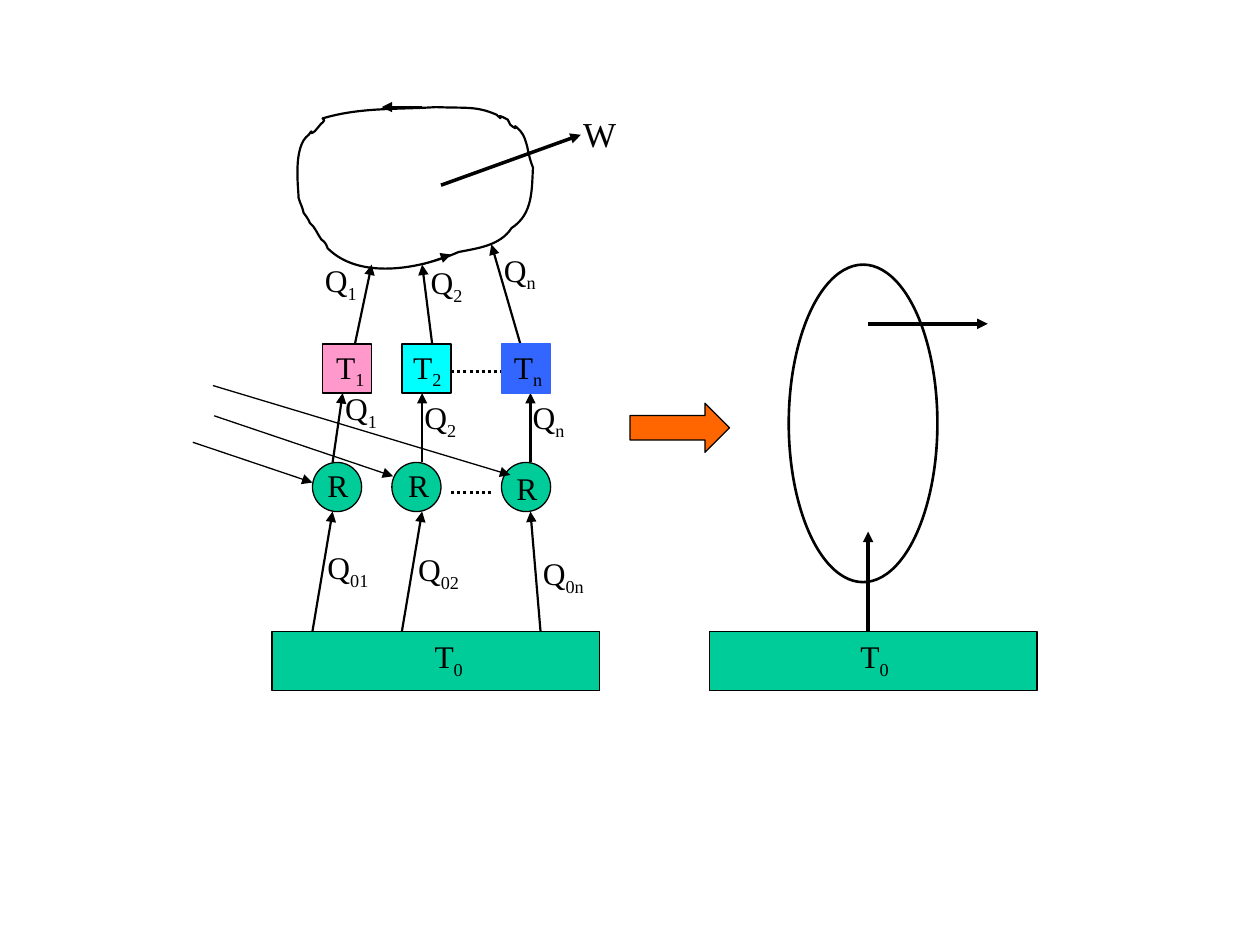
from dataclasses import dataclass
from typing import Optional

from lxml import etree
from pptx import Presentation
from pptx import util as u
from pptx.dml.color import RGBColor
from pptx.enum import dml, shapes, text
from pptx.oxml.ns import qn


@dataclass(frozen=True)
class Theme:
    font: str = "Times New Roman"
    ink: str = "000000"
    green: str = "00CC99"
    pink: str = "FF99CC"
    cyan: str = "00FFFF"
    blue: str = "3366FF"
    orange: str = "FF6600"
    label: float = 18
    work: float = 20
    thin: float = 0.75
    medium: float = 1.25
    outline: float = 1.5
    dots: float = 1.75
    heavy: float = 2


THEME = Theme()
KIND = shapes.MSO_SHAPE


@dataclass(frozen=True)
class Block:
    kind: int
    left: float
    top: float
    width: float
    height: float
    fill: Optional[str] = None
    line: str = THEME.ink
    weight: float = THEME.thin


@dataclass(frozen=True)
class Line:
    x1: float
    y1: float
    x2: float
    y2: float
    weight: float = THEME.medium
    dotted: bool = False


@dataclass(frozen=True)
class Label:
    main: str
    sub: str
    left: float
    top: float
    width: float
    height: float = 0.4
    size: float = THEME.label


def apply(target, formats: dict) -> None:
    for name, value in formats.items():
        setattr(target, name, value)


def style(shape, fill: Optional[str], line: str, weight: float) -> None:
    shape.shadow.inherit = False
    if fill:
        shape.fill.solid()
        shape.fill.fore_color.rgb = RGBColor.from_string(fill)
    else:
        shape.fill.background()
    shape.line.color.rgb = RGBColor.from_string(line)
    shape.line.width = u.Pt(weight)


def draw_block(page, block: Block) -> None:
    shape = page.shapes.add_shape(block.kind, *map(
        u.Inches, (block.left, block.top, block.width, block.height)))
    style(shape, block.fill, block.line, block.weight)


def draw_line(page, line: Line) -> None:
    connector = page.shapes.add_connector(shapes.MSO_CONNECTOR.STRAIGHT, *map(
        u.Inches, (line.x1, line.y1, line.x2, line.y2)))
    connector.line.color.rgb = RGBColor.from_string(THEME.ink)
    connector.line.width = u.Pt(line.weight)
    if line.dotted:
        connector.line.dash_style = dml.MSO_LINE.ROUND_DOT
    else:
        etree.SubElement(connector.line._get_or_add_ln(), qn("a:tailEnd"), type="triangle")
    etree.SubElement(connector._element.spPr, qn("a:effectLst"))


def draw_label(page, label: Label) -> None:
    box = page.shapes.add_textbox(*map(
        u.Inches, (label.left, label.top, label.width, label.height)))
    apply(box.text_frame, {"word_wrap": True,
                           "auto_size": text.MSO_AUTO_SIZE.SHAPE_TO_FIT_TEXT})
    para = box.text_frame.paragraphs[0]
    for content, baseline in ((label.main, None), (label.sub, "-25000")):
        if not content:
            continue
        span = para.add_run()
        span.text = content
        apply(span.font, {"name": THEME.font, "size": u.Pt(label.size)})
        span.font.color.rgb = RGBColor.from_string(THEME.ink)
        if baseline:
            span.font._element.set("baseline", baseline)


def draw_curve(page, start: tuple, curves: list) -> None:
    """Draw a closed chain of cubic curves, each given by three points."""
    points = [tuple(map(u.Inches, curve[i:i + 2])) for curve in curves for i in (0, 2, 4)]
    builder = page.shapes.build_freeform(*map(u.Inches, start))
    builder.add_line_segments(points, close=True)
    shape = builder.convert_to_shape()
    # Join every three straight segments into one cubic curve
    segments = list(shape._element.iter(qn("a:lnTo")))
    for first in range(0, len(curves) * 3, 3):
        cubic = etree.Element(qn("a:cubicBezTo"))
        segments[first].addprevious(cubic)
        for segment in segments[first:first + 3]:
            cubic.append(segment[0])
            segment.getparent().remove(segment)
    style(shape, None, THEME.ink, THEME.medium)


CYCLE_START = (2.56, 0.94)
CYCLE = [
    (2.86, 0.85, 3.15, 0.87, 3.46, 0.85), (3.7, 0.86, 3.78, 0.84, 3.94, 0.91),
    (4.03, 0.99, 3.89, 0.87, 4.03, 0.95), (4.04, 0.96, 4.04, 0.98, 4.05, 0.99),
    (4.15, 1.07, 4.03, 0.94, 4.13, 1.04), (4.16, 1.07, 4.18, 1.14, 4.19, 1.19),
    (4.2, 1.24, 4.21, 1.28, 4.23, 1.33), (4.22, 1.51, 4.23, 1.7, 4.06, 1.81),
    (3.97, 1.95, 3.79, 1.97, 3.64, 2), (3.32, 2.14, 2.85, 2.22, 2.6, 1.97),
    (2.59, 1.94, 2.58, 1.92, 2.55, 1.9), (2.52, 1.86, 2.5, 1.8, 2.46, 1.77),
    (2.45, 1.74, 2.41, 1.69, 2.41, 1.69), (2.4, 1.64, 2.38, 1.61, 2.37, 1.57),
    (2.37, 1.5, 2.32, 1.16, 2.45, 1.07), (2.5, 1, 2.44, 1.09, 2.5, 1.04),
    (2.52, 1.02, 2.53, 1, 2.55, 0.98), (2.55, 0.98, 2.57, 0.97, 2.57, 0.96),
    (2.58, 0.96, 2.57, 0.95, 2.56, 0.94),
]

# Rows shared by the columns of the heat chain
SOURCE_TOP, SOURCE_BASE = 2.73, 3.12
ENGINE_TOP, ENGINE_BASE = 3.67, 4.06
RESERVOIR_TOP, SIDE = 5.01, 0.39

HEAT_ARROWS = [
    Line(2.8, 2.81, 2.95, 2.1),
    Line(3.43, SOURCE_TOP, 3.35, 2.1),
    Line(4.13, SOURCE_TOP, 3.9, 1.94),
    *(Line(x1, ENGINE_TOP, x2, SOURCE_BASE)
      for x1, x2 in ((2.64, 2.72), (3.35, 3.35), (4.21, 4.21))),
    *(Line(x1, RESERVOIR_TOP, x2, ENGINE_BASE)
      for x1, x2 in ((2.48, 2.64), (3.19, 3.35), (4.29, 4.21))),
]
BLOCKS = [
    *(Block(KIND.RECTANGLE, left, SOURCE_TOP, SIDE, SIDE, fill, line)
      for left, fill, line in ((2.56, THEME.pink, THEME.ink), (3.19, THEME.cyan, THEME.ink),
                               (3.98, THEME.blue, THEME.blue))),
    *(Block(KIND.OVAL, left, ENGINE_TOP, SIDE, SIDE, THEME.green)
      for left in (2.48, 3.11, 3.98)),
    *(Block(KIND.RECTANGLE, left, RESERVOIR_TOP, 2.6, 0.47, THEME.green)
      for left in (2.16, 5.63)),
    Block(KIND.RIGHT_ARROW, 5, 3.2, 0.79, SIDE, THEME.orange),
    Block(KIND.OVAL, 6.26, 2.1, 1.18, 2.52, weight=THEME.outline),
]
TOP_LINES = [
    # Direction marks on the cycle
    Line(3.35, 2.1, 3.58, 2.02, THEME.thin), Line(3.35, 0.85, 3.03, 0.85, THEME.thin),
    # Dots between columns
    Line(3.58, 2.95, 3.98, 2.95, THEME.dots, True), Line(3.58, 3.91, 3.9, 3.91, THEME.dots, True),
    # Pointers to the engines
    Line(1.53, 3.51, 2.48, 3.83, THEME.thin), Line(1.7, 3.3, 3.12, 3.78, THEME.thin),
    Line(1.69, 3.06, 4.05, 3.77, THEME.thin),
    # Work output and the combined engine
    Line(6.89, RESERVOIR_TOP, 6.89, 4.22, THEME.heavy), Line(6.89, 2.57, 7.84, 2.57, THEME.heavy),
    Line(3.5, 1.47, 4.61, 1.07, THEME.heavy),
]
LABELS = [
    *(Label("Q", sub, left, top, width) for sub, left, top, width in (
        ("1", 2.64, 3.04, 0.63), ("1", 2.48, 2.02, 0.63),
        ("2", 3.27, 3.11, 1.1), ("2", 3.32, 2.04, 1.1),
        ("n", 4.13, 3.11, 0.87), ("n", 3.9, 1.94, 0.87),
        ("01", 2.5, 4.3, 0.79), ("02", 3.22, 4.32, 0.94), ("0n", 4.21, 4.35, 0.94))),
    *(Label("R", "", left, top, 0.94)
      for left, top in ((4, 3.67), (3.14, 3.65), (2.5, 3.65))),
    *(Label("T", sub, left, 2.71, 1.18)
      for sub, left in (("1", 2.57), ("2", 3.18), ("n", 3.98))),
    *(Label("T", "0", left, RESERVOIR_TOP, 1.89) for left in (3.35, 6.73)),
    Label("W", "", 4.53, 0.84, 0.71, 0.43, THEME.work),
]


def main() -> None:
    deck = Presentation()
    apply(deck, {"slide_width": u.Inches(10), "slide_height": u.Inches(7.5)})
    page = deck.slides.add_slide(deck.slide_layouts[6])
    draw_curve(page, CYCLE_START, CYCLE)
    for draw, items in ((draw_line, HEAT_ARROWS), (draw_block, BLOCKS),
                        (draw_line, TOP_LINES), (draw_label, LABELS)):
        for item in items:
            draw(page, item)
    deck.save("out.pptx")


if __name__ == "__main__":
    main()
